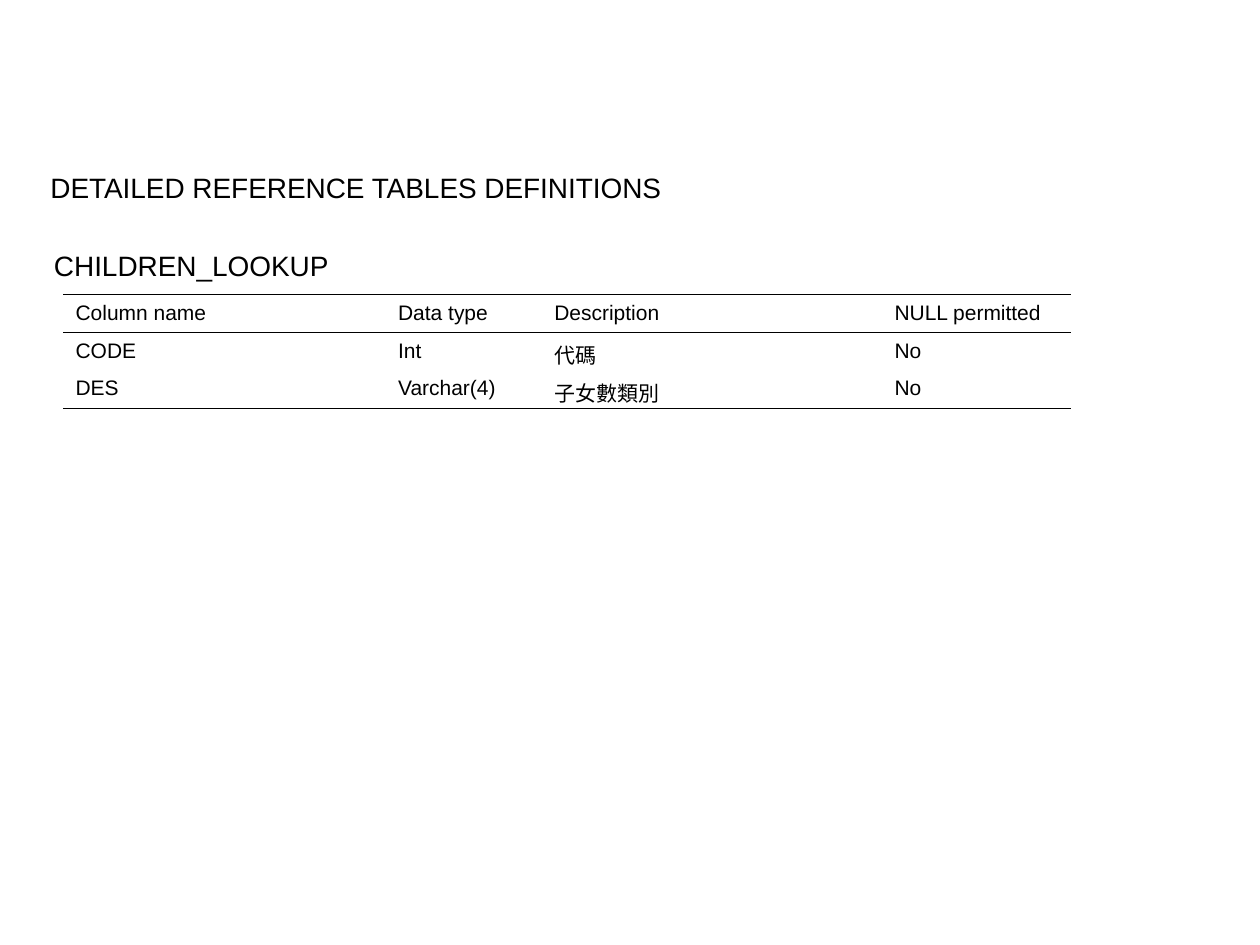
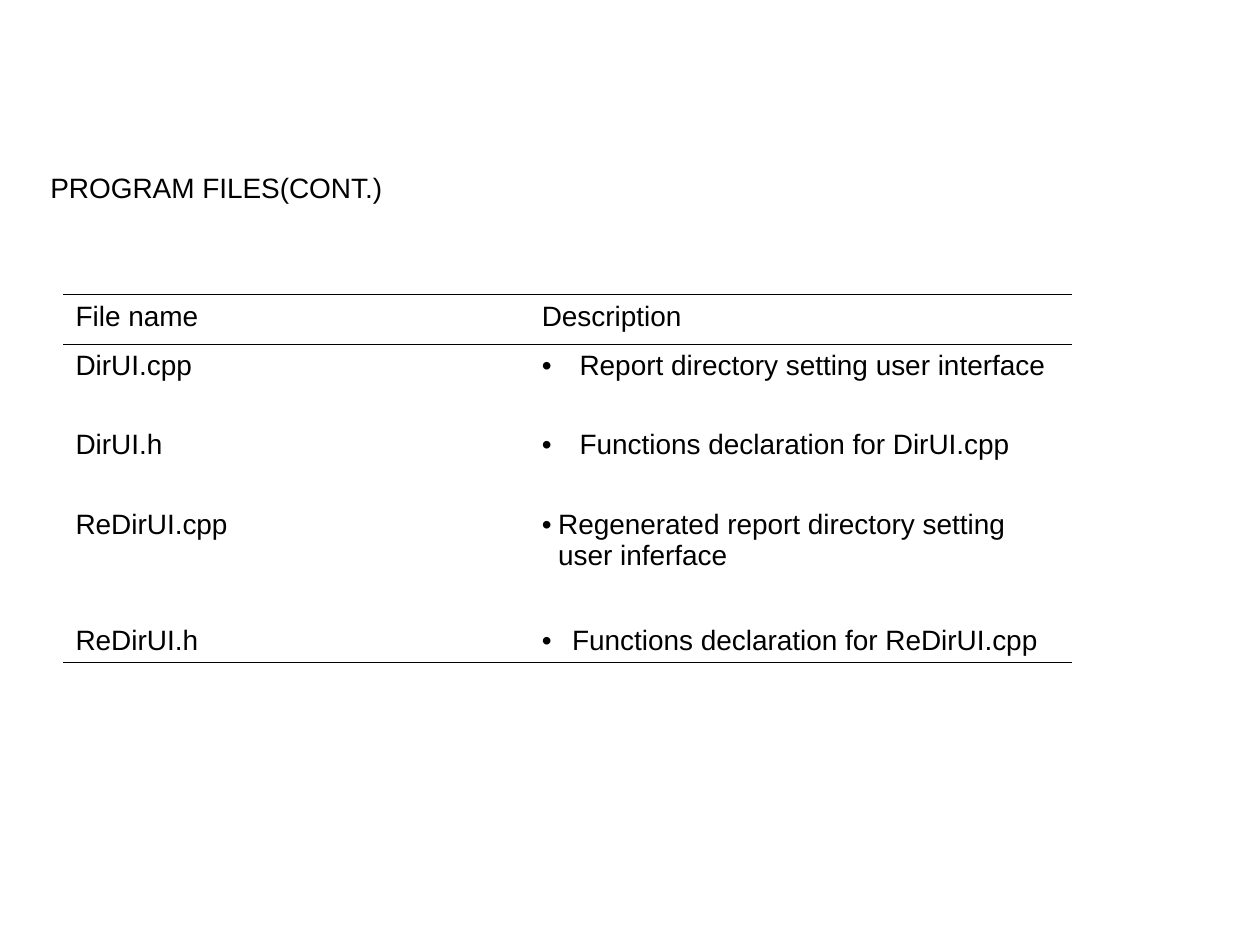
from dataclasses import dataclass

import pptx
import pptx.dml.color
import pptx.enum.text
import pptx.oxml
import pptx.oxml.ns
import pptx.presentation
import pptx.slide
import pptx.table
import pptx.text.text
import pptx.util

Inches = pptx.util.Inches
Pt = pptx.util.Pt
Anchor = pptx.enum.text.MSO_ANCHOR

INK = pptx.dml.color.RGBColor(0x00, 0x00, 0x00)
FONT = "Arial"
HEADING_SIZE = 16
OUTER_RULE = 0.75
HEADER_RULE = 0.45
TABLE_LEFT, TABLE_TOP = 0.5, 2.34
TITLE_ONLY_LAYOUT = 5
PLAIN_TABLE_STYLE = "{2D5ABB26-0587-4C30-8999-92F81FD0307C}"


@dataclass(frozen=True)
class Bullet:
    """A bulleted cell entry whose text hangs at the given indent in inches."""
    text: str
    indent: float


@dataclass(frozen=True)
class RuledTable:
    """A table with rules above and below its header and under its last row."""
    widths: list[float]
    heights: list[float]
    rows: list[tuple[str | Bullet, ...]]
    size: float
    last_anchor: Anchor = Anchor.TOP


def write(frame: pptx.text.text.TextFrame, text: str, *, size: float = HEADING_SIZE,
          bullet_indent: float | None = None) -> None:
    """Fill a text frame with one left-aligned paragraph."""
    paragraph = frame.paragraphs[0]
    paragraph.alignment = pptx.enum.text.PP_ALIGN.LEFT
    if bullet_indent is not None:
        properties = paragraph._p.get_or_add_pPr()
        properties.set("marL", str(Inches(bullet_indent)))
        properties.set("indent", str(-Inches(bullet_indent)))
        color = pptx.oxml.ns.qn("a:buClr")
        marker_color = properties.makeelement(color, {})
        marker_color.append(marker_color.makeelement(
            pptx.oxml.ns.qn("a:srgbClr"), {"val": str(INK)}))
        properties.append(marker_color)
        for tag, attributes in (("a:buFont", {"typeface": FONT}),
                                ("a:buChar", {"char": "•"})):
            properties.append(properties.makeelement(pptx.oxml.ns.qn(tag), attributes))
    run = paragraph.add_run()
    run.text = text
    run.font.name = FONT
    run.font.size = Pt(size)
    run.font.color.rgb = INK


def add_titled_slide(deck: pptx.presentation.Presentation, title: str) -> pptx.slide.Slide:
    slide = deck.slides.add_slide(deck.slide_layouts[TITLE_ONLY_LAYOUT])
    heading = slide.shapes.title
    heading.left, heading.top = Inches(0.3), Inches(1.3)
    heading.width, heading.height = Inches(9.29), Inches(0.37)
    frame = heading.text_frame
    frame.word_wrap = True
    frame.auto_size = pptx.enum.text.MSO_AUTO_SIZE.NONE
    frame.vertical_anchor = Anchor.TOP
    write(frame, title)
    return slide


def rule_cell(cell: pptx.table._Cell, top: float, bottom: float) -> None:
    """Draw the horizontal borders of a cell; a weight of 0 means no line."""
    properties = cell._tc.get_or_add_tcPr()
    edges = (("L", 0), ("R", 0), ("T", top), ("B", bottom))
    for position, (edge, weight) in enumerate(edges):
        paint = (f'<a:solidFill><a:srgbClr val="{INK}"/></a:solidFill>'
                 if weight else "<a:noFill/>")
        properties.insert(position, pptx.oxml.parse_xml(
            f'<a:ln{edge} {pptx.oxml.ns.nsdecls("a")} w="{Pt(weight)}">{paint}</a:ln{edge}>'))


def add_ruled_table(slide: pptx.slide.Slide, spec_sheet: RuledTable) -> None:
    table = slide.shapes.add_table(
        len(spec_sheet.rows), len(spec_sheet.widths), Inches(TABLE_LEFT), Inches(TABLE_TOP),
        Inches(sum(spec_sheet.widths)), Inches(sum(spec_sheet.heights))).table
    table.first_row = table.horz_banding = False
    table._tbl.tblPr.find(pptx.oxml.ns.qn("a:tableStyleId")).text = PLAIN_TABLE_STYLE
    for column, width in zip(table.columns, spec_sheet.widths):
        column.width = Inches(width)
    for row, height in zip(table.rows, spec_sheet.heights):
        row.height = Inches(height)

    last = len(spec_sheet.rows) - 1
    top_rules = {0: OUTER_RULE, 1: HEADER_RULE}
    bottom_rules = {0: HEADER_RULE, last: OUTER_RULE}
    for row_index, entries in enumerate(spec_sheet.rows):
        for column_index, entry in enumerate(entries):
            cell = table.cell(row_index, column_index)
            cell.fill.background()
            cell.vertical_anchor = spec_sheet.last_anchor if row_index == last else Anchor.TOP
            rule_cell(cell, top_rules.get(row_index, 0), bottom_rules.get(row_index, 0))
            if isinstance(entry, Bullet):
                write(cell.text_frame, entry.text, size=spec_sheet.size,
                      bullet_indent=entry.indent)
            else:
                write(cell.text_frame, entry, size=spec_sheet.size)


CHILDREN_LOOKUP = RuledTable(
    widths=[2.56, 1.24, 2.7, 1.5],
    heights=[0.3] * 3,
    rows=[
        ("Column name", "Data type", "Description", "NULL permitted"),
        ("CODE", "Int", "代碼", "No"),
        ("DES", "Varchar(4)", "子女數類別", "No"),
    ],
    size=12,
)

PROGRAM_FILES = RuledTable(
    widths=[3.7, 4.31],
    heights=[0.39, 0.63, 0.63, 0.64, 0.63],
    rows=[
        ("File name", "Description"),
        ("DirUI.cpp", Bullet("Report directory setting user interface", 0.3)),
        ("DirUI.h", Bullet("Functions declaration for DirUI.cpp", 0.3)),
        ("ReDirUI.cpp", Bullet("Regenerated report directory setting user inferface", 0.13)),
        ("ReDirUI.h", Bullet("Functions declaration for ReDirUI.cpp", 0.24)),
    ],
    size=16,
    last_anchor=Anchor.BOTTOM,
)


def main() -> None:
    deck = pptx.Presentation()
    deck.slide_width, deck.slide_height = Inches(10), Inches(7.5)

    # Reference table definitions
    reference_slide = add_titled_slide(deck, "DETAILED REFERENCE TABLES DEFINITIONS")
    table_name = reference_slide.shapes.add_textbox(
        Inches(0.33), Inches(1.92), Inches(2.38), Inches(0.37))
    table_name.text_frame.word_wrap = False
    write(table_name.text_frame, "CHILDREN_LOOKUP")
    add_ruled_table(reference_slide, CHILDREN_LOOKUP)

    # Program files
    files_slide = add_titled_slide(deck, "PROGRAM FILES(CONT.)")
    add_ruled_table(files_slide, PROGRAM_FILES)

    deck.save("out.pptx")


if __name__ == "__main__":
    main()
